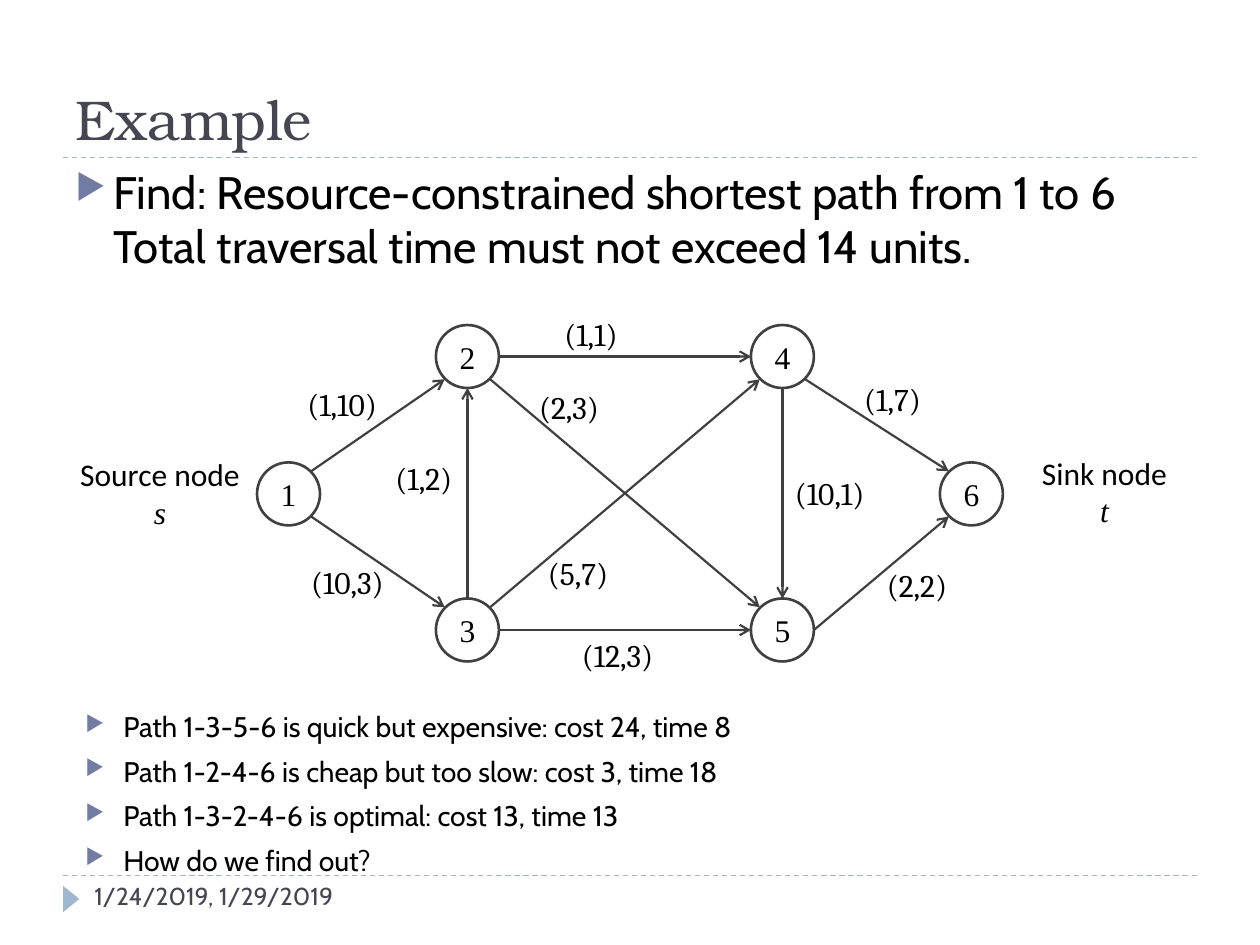
"""Build a slide on the resource-constrained shortest path."""
from lxml import etree
from pptx import Presentation
from pptx.dml.color import RGBColor
from pptx.enum.dml import MSO_LINE
from pptx.enum.shapes import MSO_CONNECTOR, MSO_SHAPE
from pptx.enum.text import MSO_ANCHOR, PP_ALIGN
from pptx.oxml.ns import qn
from pptx.util import Inches, Pt

DASH = MSO_LINE.DASH
STRAIGHT = MSO_CONNECTOR.STRAIGHT
OVAL = MSO_SHAPE.OVAL
WEDGE = MSO_SHAPE.ISOSCELES_TRIANGLE
TOP, MIDDLE, BOTTOM = MSO_ANCHOR.TOP, MSO_ANCHOR.MIDDLE, MSO_ANCHOR.BOTTOM
LEFT, CENTER = PP_ALIGN.LEFT, PP_ALIGN.CENTER

BLACK = RGBColor(0x00, 0x00, 0x00)
SLATE = RGBColor(0x46, 0x46, 0x53)
GREY = RGBColor(0x40, 0x40, 0x40)
PALE = RGBColor(0x9F, 0xB8, 0xCD)
VIOLET = RGBColor(0x72, 0x7C, 0xA3)

SERIF, SANS = "Times New Roman", "Cabin"
RADIUS, SLANT = 0.25, 0.18
NODES = {1: (2.29, 3.92), 2: (3.71, 2.83), 3: (3.71, 5),
         4: (6.21, 2.83), 5: (6.21, 5), 6: (7.71, 3.92)}
EDGES = [
    (1, 2, "(1,10)", 2.34, 3.01),
    (2, 4, "(1,1)", 4.38, 2.45),
    (1, 3, "(10,3)", 2.37, 4.42),
    (3, 5, "(12,3)", 4.52, 5),
    (4, 6, "(1,7)", 6.76, 2.97),
    (5, 6, "(2,2)", 6.94, 4.44),
    (3, 2, "(1,2)", 3.04, 3.59),
    (3, 4, "(5,7)", 4.25, 4.35),
    (2, 5, "(2,3)", 4.18, 3.03),
    (4, 5, "(10,1)", 6.21, 3.71),
]
PORTS = {(5, 6): (1, 0)}
GOAL = ["Find: Resource-constrained shortest path from 1 to 6 "
        "Total traversal time must not exceed 14 units."]
PATHS = ["Path 1-3-5-6 is quick but expensive: cost 24, time 8",
         "Path 1-2-4-6 is cheap but too slow: cost 3, time 18",
         "Path 1-3-2-4-6 is optimal: cost 13, time 13",
         "How do we find out?"]


def style(para, size, font, color=BLACK, italic=False):
    """Format the runs of a paragraph."""
    for run in para.runs:
        run.font.size = Pt(size)
        run.font.name = font
        run.font.color.rgb = color
        run.font.italic = italic


def add_text(slide, box, lines, size, font, color=BLACK, align=LEFT, anchor=TOP):
    """Add a text box and return its paragraphs."""
    frame = slide.shapes.add_textbox(*map(Inches, box)).text_frame
    frame.word_wrap = True
    frame.vertical_anchor = anchor
    frame.text = "\n".join(lines)
    for para in frame.paragraphs:
        para.alignment = align
        style(para, size, font, color)
    return frame.paragraphs


def add_list(slide, box, lines, size):
    """Add a list with triangle bullets."""
    for para in add_text(slide, box, lines, size, SANS):
        para.space_before = Pt(6)
        props = para._p.get_or_add_pPr()
        props.set("marL", str(Inches(0.3)))
        props.set("indent", str(Inches(-0.3)))
        tint = etree.SubElement(props, qn("a:buClr"))
        etree.SubElement(tint, qn("a:srgbClr"), val=str(VIOLET))
        etree.SubElement(props, qn("a:buSzPct"), val="76000")
        etree.SubElement(props, qn("a:buChar"), char="\u25b6")


def add_line(slide, start, end, color, width):
    """Add a straight line without a shadow."""
    line = slide.shapes.add_connector(STRAIGHT, *map(Inches, (*start, *end)))
    line.line.color.rgb = color
    line.line.width = Pt(width)
    etree.SubElement(line._element.spPr, qn("a:effectLst"))
    return line


def add_rule(slide, top):
    """Add a dashed rule across the slide."""
    add_line(slide, (0.5, top), (9.5, top), PALE, 0.75).line.dash_style = DASH


def add_mark(slide):
    """Add the small triangle beside the date."""
    mark = slide.shapes.add_shape(WEDGE, *map(Inches, (0.46, 7.07, 0.21, 0.13)))
    mark.rotation = 90
    mark.shadow.inherit = False
    mark.fill.solid()
    mark.fill.fore_color.rgb = PALE
    mark.line.fill.background()


def add_node(slide, name, x, y):
    """Add a numbered circle around a centre."""
    box = (x - RADIUS, y - RADIUS, 2 * RADIUS, 2 * RADIUS)
    node = slide.shapes.add_shape(OVAL, *map(Inches, box))
    node.shadow.inherit = False
    node.fill.background()
    node.line.color.rgb = GREY
    node.line.width = Pt(1.5)
    frame = node.text_frame
    frame.text = str(name)
    frame.vertical_anchor = MIDDLE
    frame.paragraphs[0].alignment = CENTER
    style(frame.paragraphs[0], 18, SERIF)


def rim(name, way):
    """Return the point on a circle in one of eight ways."""
    reach = SLANT if all(way) else RADIUS
    return [mid + reach * step for mid, step in zip(NODES[name], way)]


def add_edge(slide, tail, head):
    """Add an arrow from one node to another."""
    way = [(b > a) - (b < a) for a, b in zip(NODES[tail], NODES[head])]
    start = rim(tail, PORTS.get((tail, head), way))
    end = rim(head, [-step for step in way])
    edge = add_line(slide, start, end, GREY, 1.25)
    etree.SubElement(edge.line._get_or_add_ln(), qn("a:tailEnd"), type="arrow")


def add_role(slide, box, text, sign):
    """Add a node role with its italic symbol below."""
    paras = add_text(slide, box, [text, sign], 18, "Calibri", align=CENTER)
    style(paras[1], 18, SERIF, italic=True)


def main():
    """Build and save the slide."""
    deck = Presentation()
    deck.slide_width, deck.slide_height = Inches(10), Inches(7.5)
    slide = deck.slides.add_slide(deck.slide_layouts[6])
    for top in (6.95, 1.25):
        add_rule(slide, top)
    add_mark(slide)
    add_text(slide, (0.5, 0.17, 9, 1.08), ["Example"], 32,
             "TeX Gyre Bonum", SLATE, anchor=BOTTOM)
    add_text(slide, (0.65, 6.94, 2.5, 0.4), ["1/24/2019, 1/29/2019"], 14, SANS, SLATE)
    add_list(slide, (0.5, 1.25, 8.58, 1.23), GOAL, 26)
    for name, (x, y) in NODES.items():
        add_node(slide, name, x, y)
    for tail, head, *_ in EDGES:
        add_edge(slide, tail, head)
    add_list(slide, (0.58, 5.58, 8.58, 1.23), PATHS, 16.2)
    add_role(slide, (0.52, 3.56, 1.5, 0.71), "Source node", "s")
    add_role(slide, (8.12, 3.55, 1.29, 0.71), "Sink node", "t")
    for _, _, cost, x, y in EDGES:
        add_text(slide, (x, y, 0.99, 0.4), [cost], 18, "Cambria")
    deck.save("out.pptx")


main()
